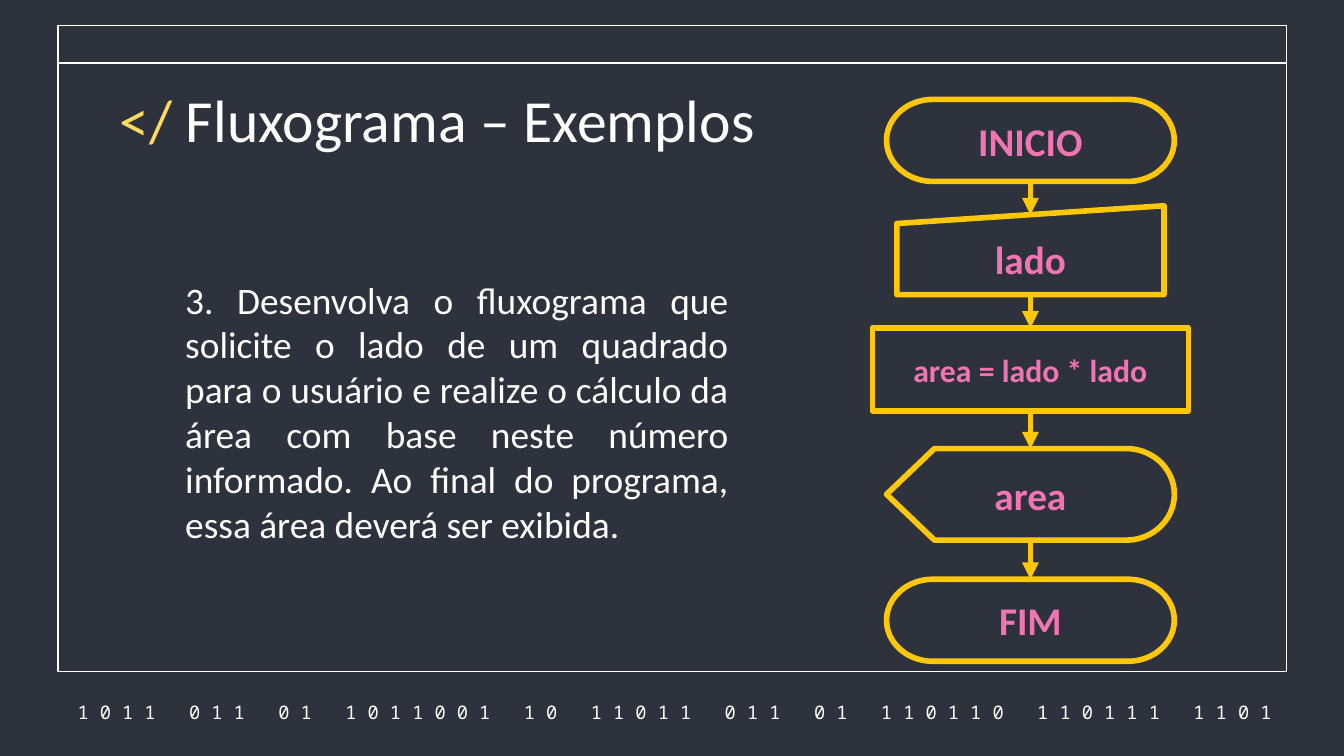
from dataclasses import dataclass
from itertools import pairwise

from lxml.etree import SubElement
from pptx import Presentation
from pptx.dml.color import RGBColor
from pptx.enum.shapes import MSO_CONNECTOR, MSO_SHAPE
from pptx.enum.text import MSO_ANCHOR, MSO_AUTO_SIZE, PP_ALIGN
from pptx.oxml.ns import qn
from pptx.util import Cm, Pt


@dataclass(frozen=True)
class Theme:
    background: RGBColor = RGBColor.from_string("2D323C")
    text: RGBColor = RGBColor.from_string("FFFFFF")
    bracket: RGBColor = RGBColor.from_string("FFDB5D")
    outline: RGBColor = RGBColor.from_string("FFC806")
    label: RGBColor = RGBColor.from_string("F175B3")
    font: str = "Calibri"
    mono_font: str = "Noto Sans Mono"
    title_size: int = 32
    body_size: int = 20
    step_size: int = 21
    formula_size: int = 17
    binary_size: int = 10
    thin: float = 0.75
    thick: float = 3


THEME = Theme()
TOP, BOTTOM = 0, 2  # connection sites


def add_run(paragraph, text, size, color, font=THEME.font, bold=False):
    run = paragraph.add_run()
    run.text = text
    run.font.name = font
    run.font.size = Pt(size)
    run.font.bold = bold
    run.font.color.rgb = color


def prepare_text(shape, alignment, anchor):
    """Set up a text frame with even margins and return its first paragraph."""
    frame = shape.text_frame
    frame.word_wrap = True
    frame.auto_size = MSO_AUTO_SIZE.NONE
    frame.vertical_anchor = anchor
    frame.margin_left = frame.margin_right = Cm(0.25)
    frame.margin_top = frame.margin_bottom = Cm(0.25)
    paragraph = frame.paragraphs[0]
    paragraph.alignment = alignment
    paragraph.space_before = Pt(0)
    return paragraph


def place_placeholder(placeholder, box):
    """Move a placeholder to its box and in front of the frame."""
    placeholder.left, placeholder.top, placeholder.width, placeholder.height = box
    placeholder.element.getparent().append(placeholder.element)


def add_window(slide, left, top, width, height):
    # Window outline, then its title strip
    for part_height in (height, Cm(0.71)):
        shape = slide.shapes.add_shape(MSO_SHAPE.RECTANGLE, left, top, width, part_height)
        shape.shadow.inherit = False
        shape.fill.solid()
        shape.fill.fore_color.rgb = THEME.background
        shape.line.color.rgb = THEME.text
        shape.line.width = Pt(THEME.thin)


def add_binary_strip(slide, left, top, width, height):
    groups = "1011 011 01 1011001 10 11011 011 01 110110 110111 1101".split()
    digits = "   ".join(" ".join(group) for group in groups)
    shape = slide.shapes.add_textbox(left, top, width, height)
    paragraph = prepare_text(shape, PP_ALIGN.CENTER, MSO_ANCHOR.MIDDLE)
    add_run(paragraph, digits, THEME.binary_size, THEME.text, THEME.mono_font)


def add_title(slide, *box):
    title = slide.shapes.title
    place_placeholder(title, box)
    paragraph = prepare_text(title, PP_ALIGN.LEFT, MSO_ANCHOR.TOP)
    add_run(paragraph, "</ ", THEME.title_size, THEME.bracket)
    add_run(paragraph, "Fluxograma – Exemplos", THEME.title_size, THEME.text)


def add_exercise(slide, *box):
    body = slide.placeholders[1]
    place_placeholder(body, box)
    paragraph = prepare_text(body, PP_ALIGN.JUSTIFY, MSO_ANCHOR.TOP)
    add_run(
        paragraph,
        "3. Desenvolva o fluxograma que solicite o lado de um quadrado para o "
        "usuário e realize o cálculo da área com base neste número informado. "
        "Ao final do programa, essa área deverá ser exibida.",
        THEME.body_size, THEME.text,
    )
    # Indented text without a bullet
    properties = paragraph._p.get_or_add_pPr()
    properties.set("marL", str(Cm(0.43)))
    properties.set("indent", "0")
    SubElement(properties, qn("a:buNone"))


def add_step(slide, kind, label, size, left, top, width, height):
    shape = slide.shapes.add_shape(kind, left, top, width, height)
    shape.shadow.inherit = False
    shape.fill.background()
    shape.line.color.rgb = THEME.outline
    shape.line.width = Pt(THEME.thick)
    frame = shape.text_frame
    frame.word_wrap = True
    frame.vertical_anchor = MSO_ANCHOR.MIDDLE
    paragraph = frame.paragraphs[0]
    paragraph.alignment = PP_ALIGN.CENTER
    add_run(paragraph, label, size, THEME.label, bold=True)
    return shape


def add_arrow(slide, center, upper, lower):
    slanted = lower.auto_shape_type == MSO_SHAPE.FLOWCHART_MANUAL_INPUT
    # The middle of a slanted top lies a tenth of the height down
    end = lower.top + (lower.height // 10 if slanted else 0)
    arrow = slide.shapes.add_connector(
        MSO_CONNECTOR.STRAIGHT, center, upper.top + upper.height, center, end)
    arrow.begin_connect(upper, BOTTOM)
    if not slanted:
        arrow.end_connect(lower, TOP)
    arrow.line.color.rgb = THEME.outline
    arrow.line.width = Pt(THEME.thick)
    SubElement(arrow.line._get_or_add_ln(), qn("a:tailEnd"), type="triangle")
    SubElement(arrow._element.spPr, qn("a:effectLst"))


def add_flowchart(slide, left, top, width):
    center = left + width // 2
    large, small = THEME.step_size, THEME.formula_size
    # Kind, label, text size, offset from the top, width, height
    steps = (
        (MSO_SHAPE.FLOWCHART_TERMINATOR, "INICIO", large, 0, 5.44, 1.55),
        (MSO_SHAPE.FLOWCHART_MANUAL_INPUT, "lado", large, 2.01, 5.05, 1.68),
        (MSO_SHAPE.RECTANGLE, "area = lado * lado", small, 4.32, 5.97, 1.57),
        (MSO_SHAPE.FLOWCHART_DISPLAY, "area", large, 6.6, 5.44, 1.73),
        (MSO_SHAPE.FLOWCHART_TERMINATOR, "FIM", large, 9.07, 5.44, 1.55),
    )
    shapes = [
        add_step(slide, kind, label, size, center - Cm(step_width) // 2,
                 top + Cm(offset), Cm(step_width), Cm(step_height))
        for kind, label, size, offset, step_width, step_height in steps
    ]
    for upper, lower in pairwise(shapes):
        add_arrow(slide, center, upper, lower)


def main():
    presentation = Presentation()
    presentation.slide_width = Cm(25.4)
    presentation.slide_height = Cm(14.29)
    slide = presentation.slides.add_slide(presentation.slide_layouts[1])
    slide.background.fill.solid()
    slide.background.fill.fore_color.rgb = THEME.background

    add_window(slide, Cm(1.1), Cm(0.48), Cm(23.22), Cm(12.21))
    add_binary_strip(slide, Cm(0.97), Cm(13.21), Cm(23.55), Cm(0.51))
    add_title(slide, Cm(2.01), Cm(1.32), Cm(21.41), Cm(1.55))
    add_exercise(slide, Cm(2.82), Cm(4.98), Cm(11.2), Cm(3))
    add_flowchart(slide, Cm(16.49), Cm(1.88), Cm(5.97))
    presentation.save("out.pptx")


if __name__ == "__main__":
    main()
